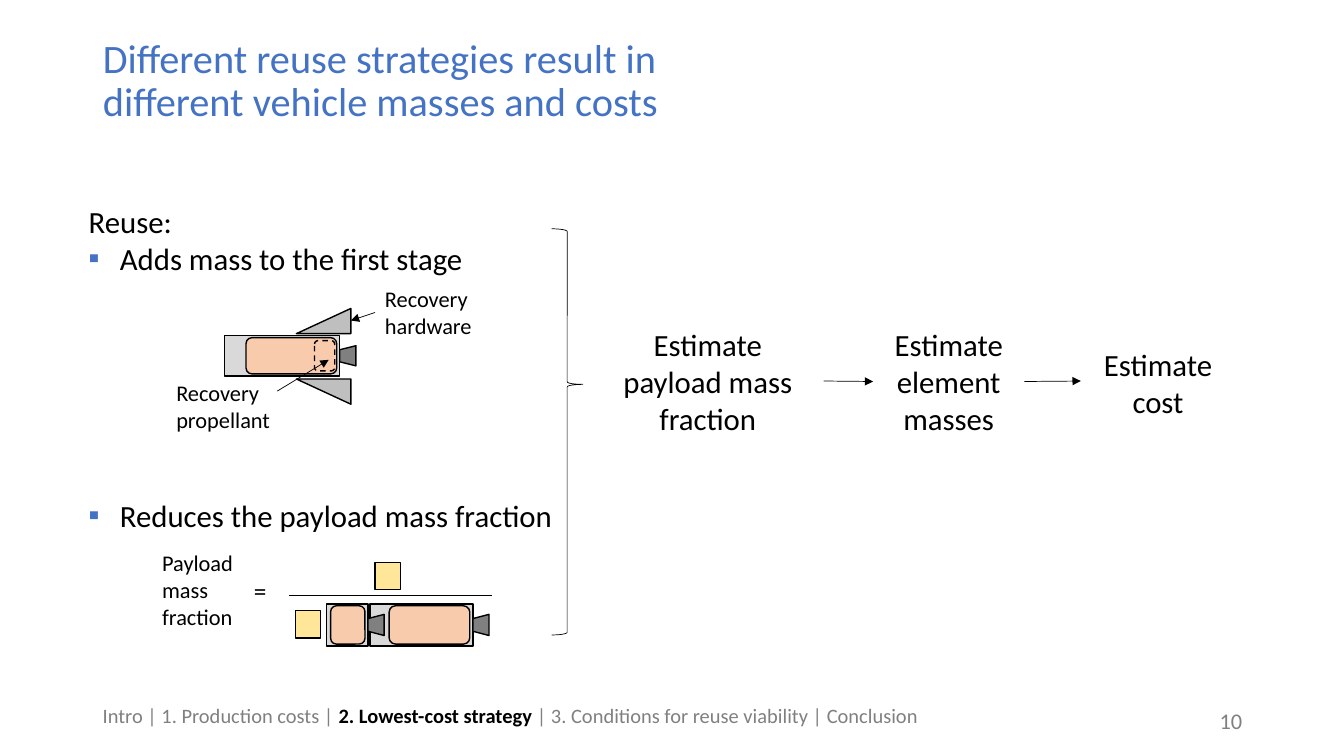
import pptx
import pptx.util
import pptx.dml.color
import pptx.enum.dml
import pptx.enum.shapes
import pptx.enum.text
import pptx.oxml.ns
import lxml.etree

PX = 9144
FONT = "Calibri"
HUES = {
    "title": "4472C4", "ink": "000000", "mute": "808080",
    "hull": "D9D9D9", "tank": "F8CBAD", "jet": "808080",
    "load": "FFE699", "fin": "BFBFBF",
}
KIND = pptx.enum.shapes.MSO_SHAPE
ALIGN = pptx.enum.text.PP_ALIGN
ANCHOR = pptx.enum.text.MSO_ANCHOR


def emu(*sizes):
    return [round(size * PX) for size in sizes]


def hue(name):
    return pptx.dml.color.RGBColor.from_string(HUES[name])


def sub(parent, tag, **attrs):
    return lxml.etree.SubElement(parent, pptx.oxml.ns.qn(tag), **attrs)


def write(par, text, *, size, ink="ink", bold=False, align=None, pitch=None):
    """Add text to a paragraph; a newline becomes a line break."""
    if align is not None:
        par.alignment = align
    if pitch is not None:
        par.line_spacing = pitch
    for i, line in enumerate(text.split("\n")):
        if i:
            par.add_line_break()
        run = par.add_run()
        run.text = line
        run.font.name = FONT
        run.font.size = pptx.util.Pt(size)
        run.font.bold = bold
        run.font.color.rgb = hue(ink)


def place(shape, box):
    shape.left, shape.top, shape.width, shape.height = emu(*box)


def frame(slide, box, wrap=True, anchor=ANCHOR.TOP):
    area = slide.shapes.add_textbox(*emu(*box))
    area.text_frame.word_wrap = wrap
    area.text_frame.vertical_anchor = anchor
    return area


def label(slide, box, text, wrap=True, anchor=ANCHOR.TOP, **style):
    area = frame(slide, box, wrap, anchor)
    write(area.text_frame.paragraphs[0], text, **style)
    return area


def draw(shapes, kind, box, fill=None, turn=0, width=1):
    """Draw a shape whose box is the area it covers once turned."""
    x, y, w, h = box
    if turn % 180:
        x, y, w, h = x + (w - h) / 2, y + (h - w) / 2, h, w
    shape = shapes.add_shape(kind, *emu(x, y, w, h))
    shape.rotation = turn
    shape.shadow.inherit = False
    if fill:
        shape.fill.solid()
        shape.fill.fore_color.rgb = hue(fill)
    else:
        shape.fill.background()
    shape.line.color.rgb = hue("ink")
    shape.line.width = pptx.util.Pt(width)
    return shape


def link(slide, start, end, width=0.5, arrow=True):
    kind = pptx.enum.shapes.MSO_CONNECTOR.STRAIGHT
    line = slide.shapes.add_connector(kind, *emu(*start, *end))
    line.line.color.rgb = hue("ink")
    line.line.width = pptx.util.Pt(width)
    if arrow:
        sub(line.line._get_or_add_ln(), "a:tailEnd", type="triangle")
    sub(line._element.spPr, "a:effectLst")
    return line


def stage(shapes, box, lead):
    """Draw a rocket stage; lead is the gap ahead of its tank."""
    x, y, w, h = box
    draw(shapes, KIND.RECTANGLE, box, "hull")
    draw(shapes, KIND.ROUNDED_RECTANGLE,
         (x + lead, y + 2, w - lead - 3, h - 4), "tank")
    draw(shapes, KIND.FLOWCHART_MANUAL_OPERATION,
         (x + w, y + h / 4, 16, h / 2), "jet", 90)


def head(slide, box):
    title = slide.shapes.title
    place(title, box)
    title.text_frame.vertical_anchor = ANCHOR.MIDDLE
    write(title.text_frame.paragraphs[0],
          "Different reuse strategies result in\n"
          "different vehicle masses and costs",
          size=28.8, ink="title", align=ALIGN.LEFT, pitch=0.9)


def points(slide, box):
    body = slide.placeholders[1]
    place(body, box)
    text = body.text_frame
    text.auto_size = pptx.enum.text.MSO_AUTO_SIZE.NONE
    rows = [("Reuse:", False, 0),
            ("Adds mass to the first stage", True, 0),
            ("Reduces the payload mass fraction", True, 157.5)]
    for i, (words, mark, gap) in enumerate(rows):
        par = text.add_paragraph() if i else text.paragraphs[0]
        props = par._p.get_or_add_pPr()
        dent = emu(31 if mark else 0)[0]
        props.set("marL", str(dent))
        props.set("indent", str(-dent))
        if mark:
            tint = sub(props, "a:buClr")
            sub(tint, "a:srgbClr", val=HUES["title"])
            sub(props, "a:buFont", typeface="Wingdings")
            sub(props, "a:buChar", char="▪")
            props.find(pptx.oxml.ns.qn("a:buFont")).set("typeface", FONT)
        else:
            sub(props, "a:buNone")
        par.space_before = pptx.util.Pt(gap)
        write(par, words, size=22, align=ALIGN.LEFT)


def booster(slide, box):
    """Draw the reusable first stage with its two callouts."""
    x, y, w, h = box
    label(slide, (x + 207, y, 134, 64), "Recovery hardware", size=16)
    parts = slide.shapes.add_group_shape().shapes
    stage(parts, (x + 58, y + 55, 114, 40), 21)
    for top, turn in ((28, 270), (98, 180)):
        draw(parts, KIND.RIGHT_TRIANGLE,
             (x + 129, y + top, 54, 25), "fin", turn)
    spare = draw(parts, KIND.ROUNDED_RECTANGLE, (x + 147, y + 60, 20, 30))
    spare.line.dash_style = pptx.enum.dml.MSO_LINE.DASH
    link(slide, (x + 207, y + 32), (x + 183, y + 40))
    label(slide, (x, y + h - 64, 142, 64), "Recovery propellant", size=16)
    link(slide, (x + 110, y + 110), (x + 161, y + 79))


def ratio(slide, box):
    """Draw the payload mass fraction as a fraction of stages."""
    x, y, w, h = box
    label(slide, (x, y, 125, 91), "Payload mass fraction", size=16)
    label(slide, (x + 91, y + 26, 33, 40), "=", wrap=False, size=18)
    draw(slide.shapes, KIND.RECTANGLE, (x + 221, y + 18, 25, 27), "load")
    link(slide, (x + 136, y + 51), (x + w, y + 51), width=1, arrow=False)
    parts = slide.shapes.add_group_shape().shapes
    base = y + h - 42
    stage(parts, (x + 216, base, 102, 42), 19)
    stage(parts, (x + 173, base, 41, 42), 4)
    draw(parts, KIND.RECTANGLE, (x + 142, base + 7, 25, 27), "load")


def flow(slide, box):
    """Draw the brace and the three estimates it leads to."""
    x, y, w, h = box
    brace = draw(slide.shapes, KIND.RIGHT_BRACE, (x, y, 31, h), width=0.5)
    brace.adjustments[0], brace.adjustments[1] = 0.083, 0.383
    steps = [("payload mass fraction", 52, 91, 206, 121),
             ("element masses", 319, 91, 150, 121),
             ("cost", 534, 111, 135, 84)]
    cells = [label(slide, (x + dx, y + dy, wide, high), "Estimate " + words,
                   size=22, align=ALIGN.CENTER)
             for words, dx, dy, wide, high in steps]
    mid = y + 151
    link(slide, (x + 270, mid), (x + 319, mid)).end_connect(cells[1], 1)
    link(slide, (x + 469, mid), (x + 525, mid)).begin_connect(cells[1], 3)


def foot(slide, box):
    x, y, w, h = box
    par = frame(slide, (x, y, 843, h)).text_frame.paragraphs[0]
    for words, ink, bold in (
            ("Intro | 1. Production costs | ", "mute", False),
            ("2. Lowest-cost strategy ", "ink", True),
            ("| 3. Conditions for reuse viability | Conclusion",
             "mute", False)):
        write(par, words, size=14.6, ink=ink, bold=bold, pitch=0.9)
    label(slide, (x + w - 300, y, 300, h), "10", anchor=ANCHOR.MIDDLE,
          size=16, ink="mute", align=ALIGN.RIGHT)


def main():
    deck = pptx.Presentation()
    deck.slide_width, deck.slide_height = emu(1333, 750)
    slide = deck.slides.add_slide(deck.slide_layouts[1])
    head(slide, (92, 40, 1150, 83))
    points(slide, (78, 196, 484, 343))
    booster(slide, (165, 278, 341, 157))
    ratio(slide, (151, 540, 337, 101))
    flow(slide, (547, 227, 669, 403))
    foot(slide, (92, 695, 1150, 40))
    deck.save("out.pptx")


if __name__ == "__main__":
    main()
